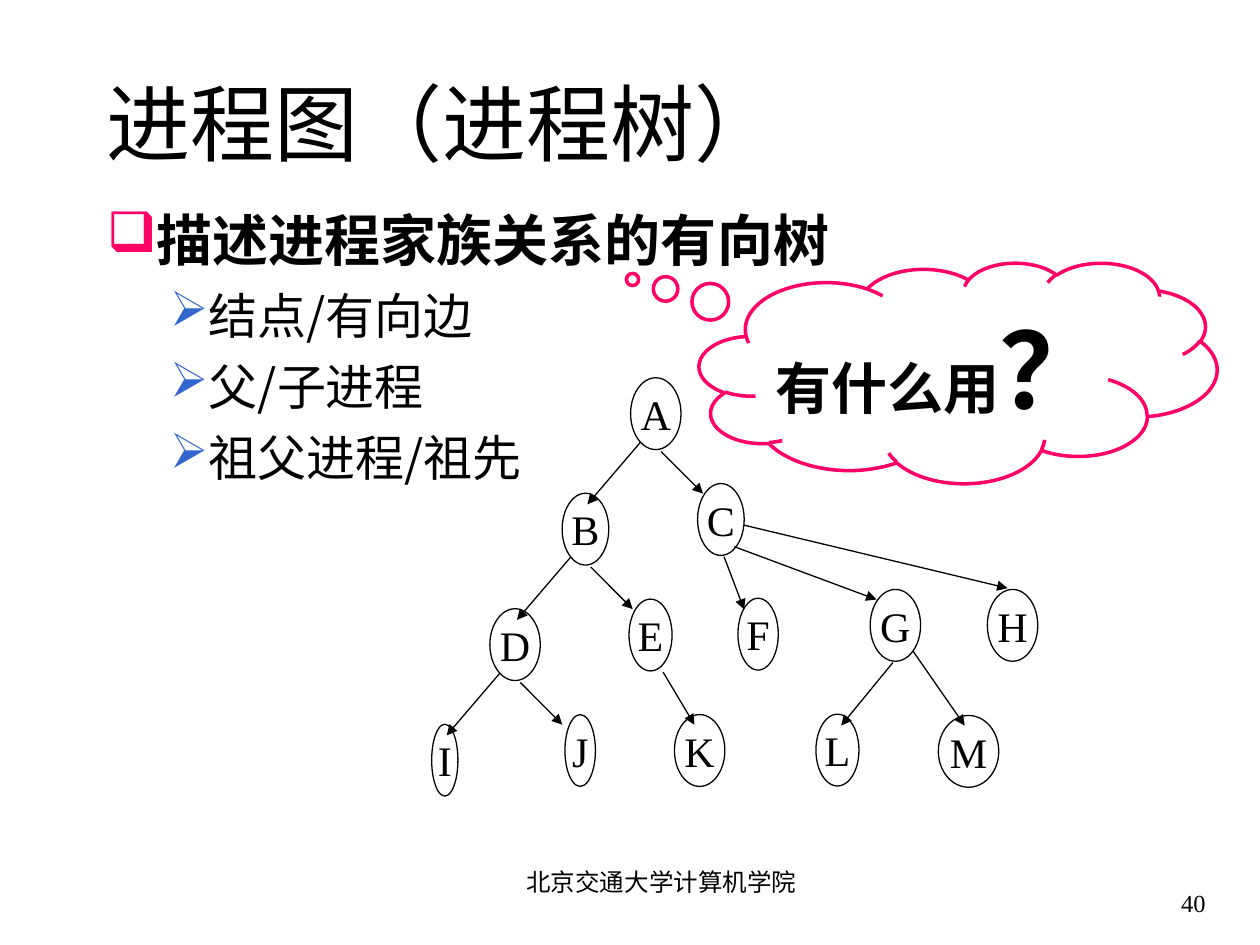
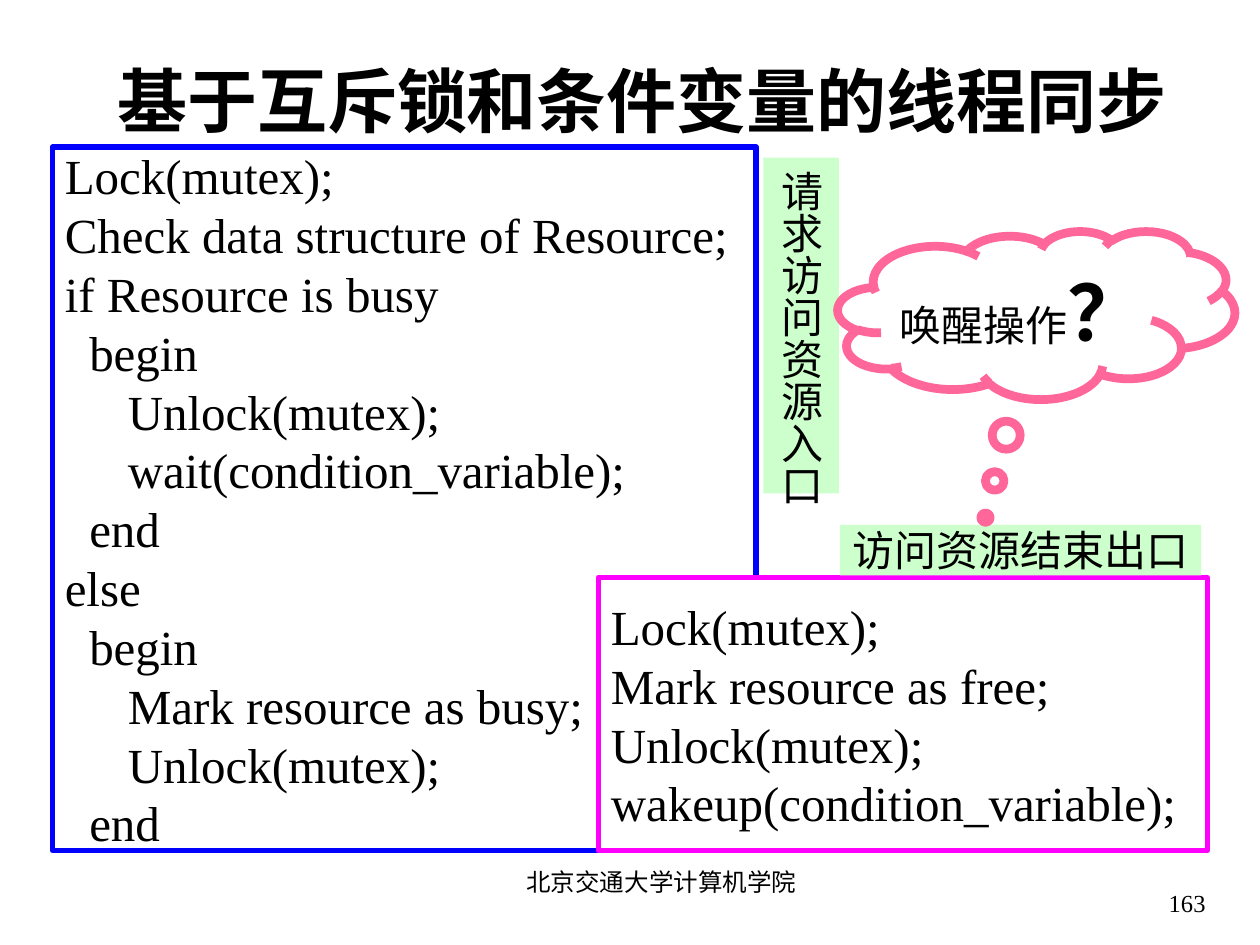
from lxml.etree import SubElement
from pptx import Presentation
from pptx.dml.color import RGBColor
from pptx.enum.shapes import MSO_CONNECTOR, MSO_SHAPE
from pptx.enum.text import MSO_ANCHOR, PP_ALIGN
from pptx.oxml.ns import qn
from pptx.util import Inches, Pt

# The slide is a grid of 120 columns by 90 rows
COLS, ROWS = 120, 90
CELL = Inches(10) / COLS
SERIF, SANS = "Times New Roman", "Noto Sans CJK SC"
BLACK, WHITE, MINT = "000000", "FFFFFF", "CCFFCC"
ROSE, PINK, BLUE = "FF0066", "FF6699", "3366CC"
LEFT, MID, RIGHT = PP_ALIGN.LEFT, PP_ALIGN.CENTER, PP_ALIGN.RIGHT
SCHOOL = "北京交通大学计算机学院"

# Tree rows: parent, child, child's width, shift from the parent's centre,
# arrow start from the parent's centre, arrow end from the child's centre
DOWN = (-6.7, 11), (-1.44, 2.7), (0.18, -2.36)
SIDE = (6.2, 10.08), (0.5, 3.6), (-1.7, -2.46)
TREE = [
    ("A", "B", 4.44, *DOWN),
    ("A", "C", 4.44, *SIDE),
    ("B", "D", 4.8, *DOWN),
    ("B", "E", 4.1, *SIDE),
    ("D", "I", 2.5, *DOWN),
    ("D", "J", 2.9, *SIDE),
    ("E", "K", 4.8, (4.68, 11), (1.2, 3.54), (-0.5, -2.46)),
    ("C", "F", 3.84, (3.54, 10.92), (0.3, 3.54), (-1.32, -2.34)),
    ("C", "G", 4.8, (16.62, 10.08), (1.26, 2.58), (-1.8, -2.46)),
    ("C", "H", 4.8, (27.78, 10.08), (2.22, 0.54), (-0.48, -3.54)),
    ("G", "L", 4.1, (-5.52, 11.88), (-0.24, 3.54), (0.36, -2.34)),
    ("G", "M", 5.76, (6.96, 12), (1.68, 2.46), (-0.36, -2.46)),
]

ENTER = """Lock(mutex);
Check data structure of Resource;
if Resource is busy
  begin
\tUnlock(mutex);
\twait(condition_variable);
  end
else
  begin
\tMark resource as busy;
\tUnlock(mutex);
  end"""
LEAVE = """Lock(mutex);
Mark resource as free;
Unlock(mutex);
wakeup(condition_variable);"""


def tint(code):
    return RGBColor.from_string(code)


def span(*cells):
    return [round(cell * CELL) for cell in cells]


def style(run, size, bold=False, face=SERIF, color=BLACK):
    font = run.font
    font.size, font.bold, font.name = Pt(size), bold, face
    font.color.rgb = tint(color)
    SubElement(run._r.get_or_add_rPr(), qn("a:ea"), typeface=SANS)


def setup(frame, anchor, pads=(0.1, 0.05), wrap=True):
    frame.word_wrap = wrap
    frame.vertical_anchor = anchor
    frame.margin_left = frame.margin_right = Inches(pads[0])
    frame.margin_top = frame.margin_bottom = Inches(pads[1])


def write(slide, box, text, size, align=LEFT, anchor=MSO_ANCHOR.TOP, **look):
    frame = slide.shapes.add_textbox(*span(*box)).text_frame
    setup(frame, anchor)
    para = frame.paragraphs[0]
    para.text, para.alignment = text, align
    style(para.runs[0], size, **look)


def draw(slide, kind, box, fill=None, line=None, width=0.75):
    shape = slide.shapes.add_shape(kind, *span(*box))
    shape.shadow.inherit = False
    if fill:
        shape.fill.solid()
        shape.fill.fore_color.rgb = tint(fill)
    else:
        shape.fill.background()
    if line:
        shape.line.color.rgb = tint(line)
        shape.line.width = Pt(width)
    else:
        shape.line.fill.background()
    return shape


def label(shape, text, pads, size=24):
    frame = shape.text_frame
    setup(frame, MSO_ANCHOR.MIDDLE, pads, wrap=False)
    para = frame.paragraphs[0]
    para.text, para.alignment = text, MID
    style(para.runs[0], size)


def arrow(slide, start, end):
    link = slide.shapes.add_connector(
        MSO_CONNECTOR.STRAIGHT, *span(*start, *end))
    link.line.color.rgb = tint(BLACK)
    link.line.width = Pt(0.75)
    SubElement(link.line._get_or_add_ln(), qn("a:tailEnd"), type="triangle")
    SubElement(link._element.spPr, qn("a:effectLst"))


def footer(slide, number):
    write(slide, (104, 82, 12, 6), number, 14, RIGHT, MSO_ANCHOR.BOTTOM)
    write(slide, (44, 82, 38, 6), SCHOOL, 14, MID)


def indent(para, left, hang):
    props = para._p.get_or_add_pPr()
    props.set("marL", str(Inches(left)))
    props.set("indent", str(-Inches(hang)))
    return props


def points(slide, box, head, items):
    frame = slide.shapes.add_textbox(*span(*box)).text_frame
    setup(frame, MSO_ANCHOR.TOP)
    for i, text in enumerate([head, *items]):
        para = frame.add_paragraph() if i else frame.paragraphs[0]
        para.text = text
        if i:
            para.level, para.space_before = 1, Pt(7)
            look = 0.81, 0.31, "➢", BLUE, 28
        else:
            look = 0.38, 0.38, "❑", ROSE, 32
        left, hang, mark, color, size = look
        props = indent(para, left, hang)
        paint = SubElement(props, qn("a:buClr"))
        SubElement(paint, qn("a:srgbClr"), val=color)
        SubElement(props, qn("a:buChar"), char=mark)
        style(para.runs[0], size, bold=not i, face=SANS)


def node(slide, name, spot, width, high=6.84):
    x, y = spot
    box = x - width / 2, y - high / 2, width, high
    label(draw(slide, MSO_SHAPE.OVAL, box, line=BLACK), name, (0.02, 0))


def shift(spot, step):
    return spot[0] + step[0], spot[1] + step[1]


def tree(slide, box):
    # The root sits near the top of the box; the rest hang from it
    spots = {"A": shift(box[:2], (0.37 * box[2], 0.085 * box[3]))}
    node(slide, "A", spots["A"], 4.8)
    for above, below, width, step, start, end in TREE:
        spots[below] = shift(spots[above], step)
        node(slide, below, spots[below], width)
        arrow(slide, shift(spots[above], start), shift(spots[below], end))


def cloud(slide, box, tip, line, width, words, mark):
    shape = draw(slide, MSO_SHAPE.CLOUD_CALLOUT, box, None, line, width)
    for i, share in enumerate(tip):
        shape.adjustments[i] = share
    frame = shape.text_frame
    setup(frame, MSO_ANCHOR.MIDDLE, (0.02, 0.05))
    para = frame.paragraphs[0]
    para.alignment = MID
    for text, size, bold in (words, mark):
        run = para.add_run()
        run.text = text
        style(run, size, bold)


def code(slide, box, text, line, fill=None):
    shape = draw(slide, MSO_SHAPE.RECTANGLE, box, fill, line, 3)
    frame = shape.text_frame
    setup(frame, MSO_ANCHOR.MIDDLE, (0.1, 0.01))
    frame.text = text
    for para in frame.paragraphs:
        para.alignment = LEFT
        # Tabbed lines start at the hanging indent
        tabs = SubElement(indent(para, 0.5, 0.5), qn("a:tabLst"))
        SubElement(tabs, qn("a:tab"), pos="0", algn="l")
        style(para.runs[0], 28)


def family(slide):
    footer(slide, "40")
    write(slide, (9, 8, 102, 9), "进程图（进程树）", 48,
          anchor=MSO_ANCHOR.BOTTOM, face=SANS)
    points(slide, (9, 19, 72, 30), "描述进程家族关系的有向树",
           ["结点/有向边", "父/子进程", "祖父进程/祖先"])
    tree(slide, (41, 36, 58, 40))
    cloud(slide, (66.6, 25, 49.3, 21), (-0.629, -0.423), ROSE, 2,
          ("有什么用", 32, True), ("？", 60, True))


def locks(slide):
    footer(slide, "163")
    write(slide, (10, 6, 103, 7), "基于互斥锁和条件变量的线程同步", 40,
          anchor=MSO_ANCHOR.MIDDLE, bold=True)
    code(slide, (5, 14, 67, 67), ENTER, "0000FF")
    code(slide, (57, 55, 58, 26), LEAVE, "FF00FF", WHITE)
    # Entry and exit labels
    entry = draw(slide, MSO_SHAPE.RECTANGLE, (72.7, 15, 7.2, 32), MINT)
    label(entry, "请求访问资源入口", (0, 0.1))
    entry.text_frame._txBody.bodyPr.set("vert", "eaVert")
    leave = draw(slide, MSO_SHAPE.RECTANGLE, (80, 50, 34.4, 4.8), MINT)
    label(leave, "访问资源结束出口", (0.1, 0))
    cloud(slide, (79.8, 22, 37.8, 16), (-0.128, 1.206), PINK, 5,
          ("唤醒操作", 24, False), ("？", 44, True))


def main():
    deck = Presentation()
    deck.slide_width, deck.slide_height = span(COLS, ROWS)
    for build in (family, locks):
        build(deck.slides.add_slide(deck.slide_layouts[6]))
    deck.save("out.pptx")


if __name__ == "__main__":
    main()
